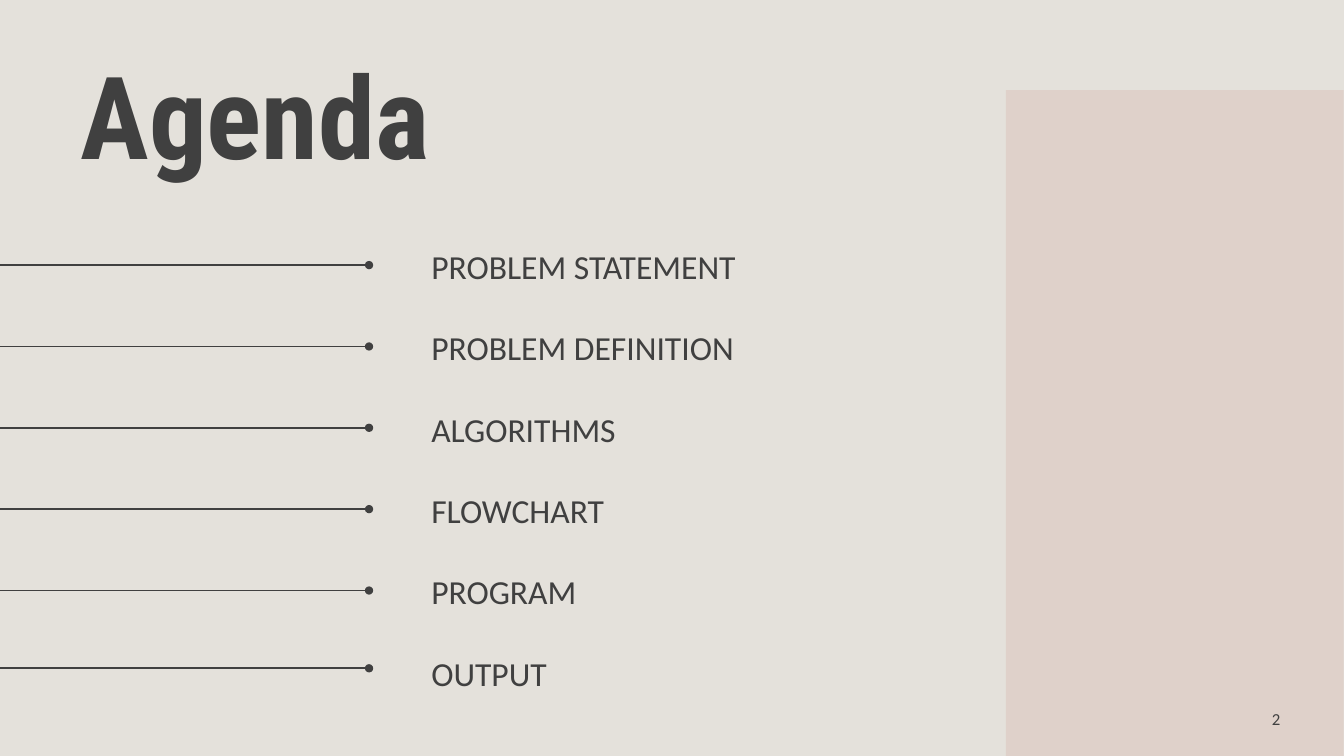
from lxml import etree
from pptx import Presentation
from pptx import util as u
from pptx.dml.color import RGBColor
from pptx.enum import shapes, text
from pptx.oxml.ns import qn

COLORS = {"background": "E4E1DB", "panel": "D9BBB3", "ink": "404040"}
AGENDA = ["PROBLEM STATEMENT", "PROBLEM DEFINITION", "ALGORITHMS",
          "FLOWCHART", "PROGRAM", "OUTPUT"]
ITEM_TOP, ITEM_PITCH = 6.05, 2.05
RULE_TOP, LAST_RULE_TOP = 6.68, 16.84
TITLE_STYLE = {"name": "Roboto Condensed", "size": u.Pt(82), "bold": True}
ITEM_STYLE = {"name": "Calibri", "size": u.Pt(24)}
NUMBER_STYLE = {"name": "Calibri", "size": u.Pt(12)}


def color(name):
    return RGBColor.from_string(COLORS[name])


def place(shape, left, top, width, height):
    sides = {"left": left, "top": top, "width": width, "height": height}
    for side, length in sides.items():
        setattr(shape, side, u.Cm(length))


def write(shape, words, style, align=text.PP_ALIGN.LEFT):
    """Put one vertically centred line of formatted text in a shape."""
    frame = shape.text_frame
    frame.word_wrap = True
    frame.auto_size = text.MSO_AUTO_SIZE.NONE
    frame.vertical_anchor = text.MSO_ANCHOR.MIDDLE
    para = frame.paragraphs[0]
    para.alignment = align
    span = para.add_run()
    span.text = words
    for key, value in style.items():
        setattr(span.font, key, value)
    span.font.color.rgb = color("ink")
    return para


def add_label(page, words, bounds, style, align=text.PP_ALIGN.LEFT):
    box = page.shapes.add_textbox(0, 0, 0, 0)
    place(box, *bounds)
    write(box, words, style, align)


def add_panel(page):
    panel = page.shapes.add_shape(shapes.MSO_SHAPE.RECTANGLE, 0, 0, 0, 0)
    place(panel, 25.35, 2.27, 8.51, 16.78)
    panel.shadow.inherit = False
    panel.line.fill.background()
    panel.fill.solid()
    panel.fill.fore_color.rgb = color("panel")
    # Transparency
    tint = panel.element.spPr.find(qn("a:solidFill"))[0]
    etree.SubElement(tint, qn("a:alpha"), val="41000")


def add_title(page, words):
    title = page.shapes.title
    place(title, 1.78, 1.27, 30.38, 3.61)
    write(title, words, TITLE_STYLE).line_spacing = 0.9
    # Bring the title in front of the panel
    title.element.getparent().append(title.element)


def add_rule(page, top):
    rule = page.shapes.add_connector(
        shapes.MSO_CONNECTOR.STRAIGHT, 0, u.Cm(top), u.Cm(9.3), u.Cm(top))
    rule.line.color.rgb = color("ink")
    rule.line.width = u.Pt(1.25)
    # Round end and no shadow
    properties = rule.element.spPr
    etree.SubElement(properties.find(qn("a:ln")), qn("a:tailEnd"), type="oval")
    etree.SubElement(properties, qn("a:effectLst"))


def main():
    deck = Presentation()
    deck.slide_width, deck.slide_height = u.Cm(33.87), u.Cm(19.05)
    page = deck.slides.add_slide(deck.slide_layouts[5])
    page.background.fill.solid()
    page.background.fill.fore_color.rgb = color("background")

    add_panel(page)
    add_title(page, "Agenda")

    # Agenda items, each with its rule; the last rule sits slightly higher
    for row, item in enumerate(AGENDA):
        offset = row * ITEM_PITCH
        add_rule(page, min(RULE_TOP + offset, LAST_RULE_TOP))
        add_label(page, item, (10.62, ITEM_TOP + offset, 10.54, 1.3), ITEM_STYLE)

    # Page number
    add_label(page, "2", (31.55, 17.78, 1.22, 0.69), NUMBER_STYLE,
              text.PP_ALIGN.CENTER)
    deck.save("out.pptx")


if __name__ == "__main__":
    main()
